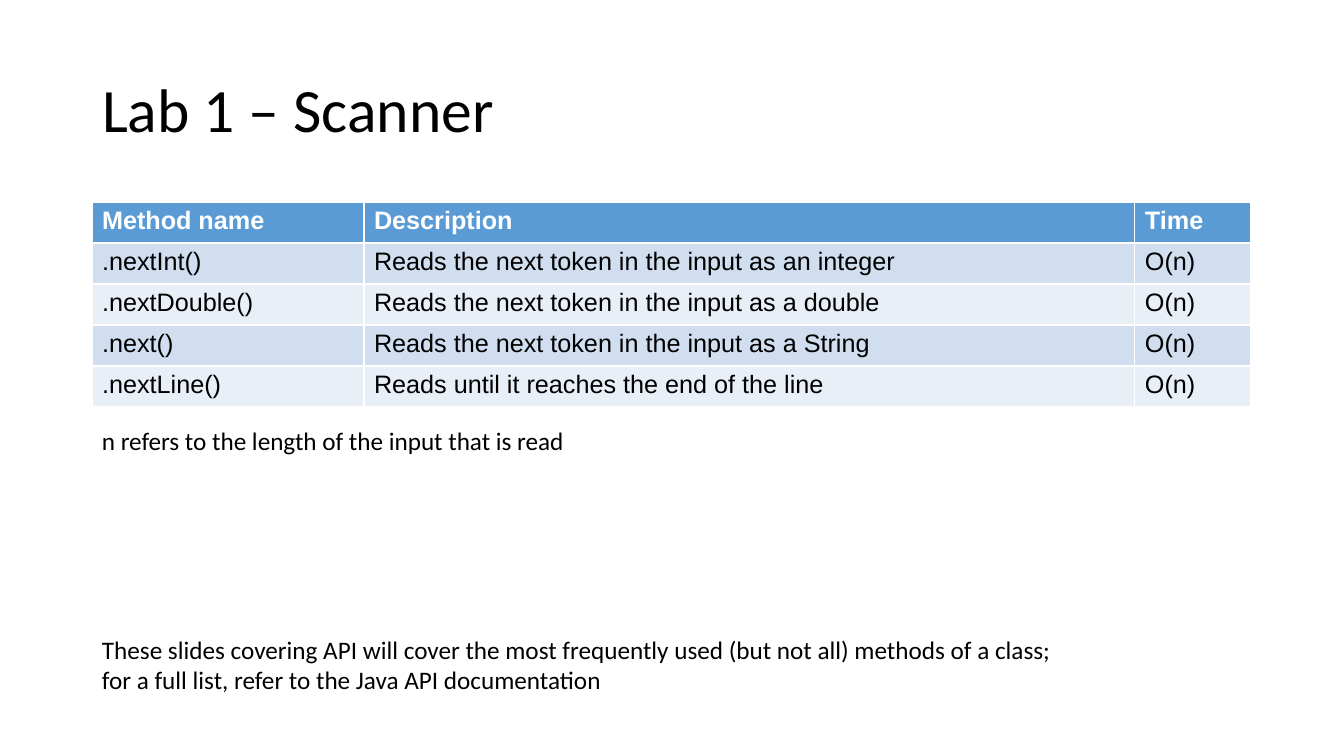
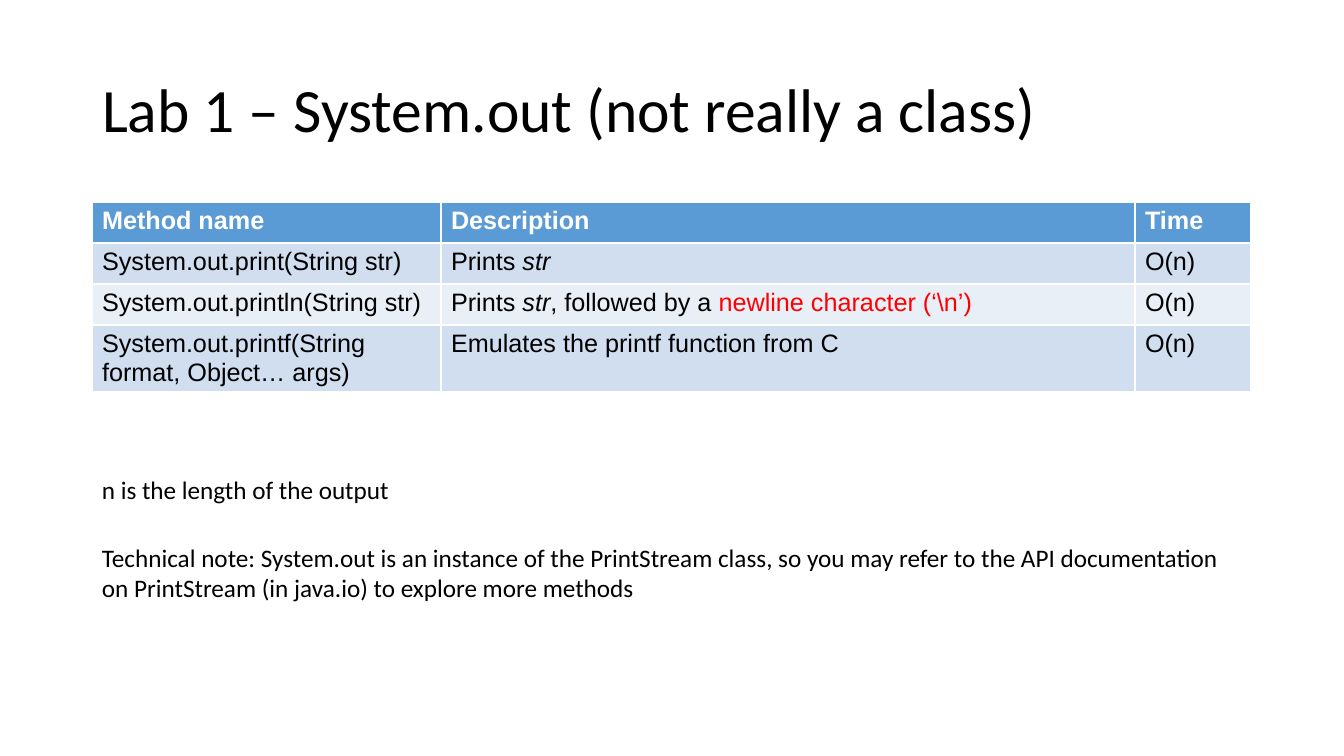
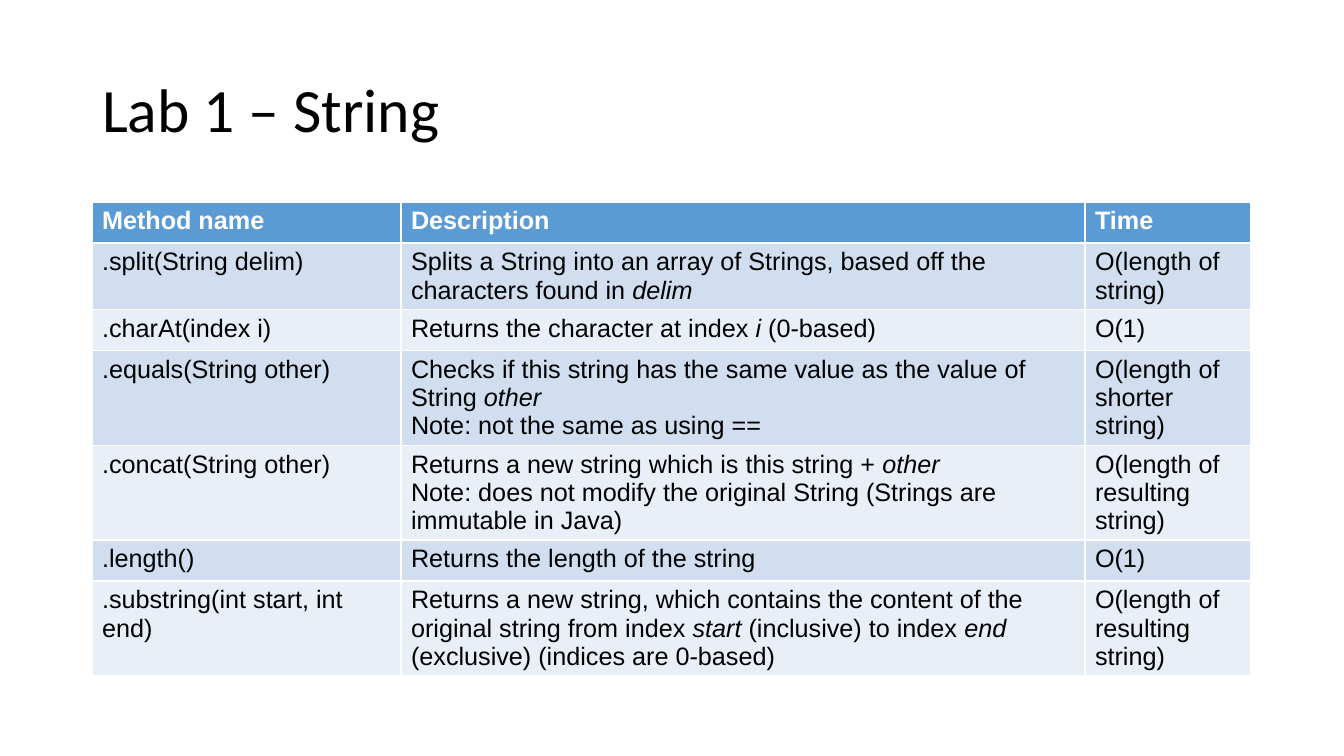
from dataclasses import dataclass

from pptx import Presentation
from pptx.dml.color import RGBColor
from pptx.enum.text import MSO_ANCHOR, MSO_AUTO_SIZE, PP_ALIGN
from pptx.util import Pt

HEADINGS = ("Method name", "Description", "Time")

# In table text, *asterisks* mark italics and ~tildes~ mark highlighted words.
LESSONS = [
    {
        "title": "Lab 1 – Scanner",
        "method_width": 272,
        "time_width": 116,
        "methods": [
            (".nextInt()", "Reads the next token in the input as an integer", "O(n)"),
            (".nextDouble()", "Reads the next token in the input as a double", "O(n)"),
            (".next()", "Reads the next token in the input as a String", "O(n)"),
            (".nextLine()", "Reads until it reaches the end of the line", "O(n)"),
        ],
        "notes": [
            ("n refers to the length of the input that is read", 420, 549, 40),
            ("These slides covering API will cover the most frequently used "
             "(but not all) methods of a class;\n"
             "for a full list, refer to the Java API documentation", 629, 1159, 71),
        ],
    },
    {
        "title": "Lab 1 – System.out (not really a class)",
        "method_width": 349,
        "time_width": 116,
        "methods": [
            ("System.out.print(String str)", "Prints *str*", "O(n)"),
            ("System.out.println(String str)",
             r"Prints *str*, followed by a ~newline character (‘\n’)~", "O(n)"),
            ("System.out.printf(String format, Object… args)",
             "Emulates the printf function from C", "O(n)"),
        ],
        "notes": [
            ("Technical note: System.out is an instance of the PrintStream class, "
             "so you may refer to the API documentation on PrintStream (in java.io) "
             "to explore more methods", 537, 1159, 71),
            ("n is the length of the output", 469, 1159, 40),
        ],
    },
    {
        "title": "Lab 1 – String",
        "method_width": 309,
        "time_width": 166,
        "methods": [
            (".split(String delim)",
             "Splits a String into an array of Strings, based off the characters "
             "found in *delim*", "O(length of string)"),
            (".charAt(index i)", "Returns the character at index *i* (0-based)", "O(1)"),
            (".equals(String other)",
             "Checks if this string has the same value as the value of String *other*\n"
             "Note: not the same as using ==", "O(length of shorter string)"),
            (".concat(String other)",
             "Returns a new string which is this string + *other*\n"
             "Note: does not modify the original String (Strings are immutable in Java)",
             "O(length of resulting string)"),
            (".length()", "Returns the length of the string", "O(1)"),
            (".substring(int start, int end)",
             "Returns a new string, which contains the content of the original string "
             "from index *start* (inclusive) to index *end* (exclusive) "
             "(indices are 0-based)", "O(length of resulting string)"),
        ],
        "notes": [],
    },
]


@dataclass(frozen=True)
class Theme:
    ink: RGBColor = RGBColor(0x00, 0x00, 0x00)
    heading_ink: RGBColor = RGBColor(0xFF, 0xFF, 0xFF)
    highlight: RGBColor = RGBColor(0xFF, 0x00, 0x00)
    heading_fill: RGBColor = RGBColor(0x5B, 0x9B, 0xD5)
    row_fills: tuple = (RGBColor(0xD0, 0xDE, 0xEF), RGBColor(0xE9, 0xEF, 0xF7))
    slide_font: str = "Calibri"
    table_font: str = "Arial"
    title_size: int = 44
    text_size: int = 18


THEME = Theme()
SLIDE_WIDTH, SLIDE_HEIGHT = 1344, 756
LEFT, CONTENT_WIDTH = 92, 1159
TITLE_TOP, TITLE_HEIGHT = 40, 146
TABLE_TOP, ROW_HEIGHT = 202, 41


def px(length):
    return round(length * 914400 / 100.8)


def box(*lengths):
    return [px(length) for length in lengths]


def style(run, font, size, color, bold=False, italic=False):
    run.font.name = font
    run.font.size = Pt(size)
    run.font.color.rgb = color
    run.font.bold = bold
    run.font.italic = italic


def add_title(slide, wording):
    title = slide.shapes.title
    title.left, title.top, title.width, title.height = box(
        LEFT, TITLE_TOP, CONTENT_WIDTH, TITLE_HEIGHT)
    frame = title.text_frame
    frame.text = wording
    frame.auto_size = MSO_AUTO_SIZE.NONE
    frame.vertical_anchor = MSO_ANCHOR.MIDDLE
    heading = frame.paragraphs[0]
    heading.alignment = PP_ALIGN.LEFT
    heading.line_spacing = 0.9
    style(heading.runs[0], THEME.slide_font, THEME.title_size, THEME.ink)


def write_cell(cell, wording, fill, color, bold):
    cell.fill.solid()
    cell.fill.fore_color.rgb = fill
    frame = cell.text_frame
    for index, line in enumerate(wording.split("\n")):
        paragraph = frame.add_paragraph() if index else frame.paragraphs[0]
        for i, phrase in enumerate(line.split("*")):
            for j, words in enumerate(phrase.split("~")):
                if words:
                    run = paragraph.add_run()
                    run.text = words
                    style(run, THEME.table_font, THEME.text_size,
                          THEME.highlight if j % 2 else color, bold, i % 2 == 1)


def add_method_table(slide, lesson):
    rows = [HEADINGS, *lesson["methods"]]
    table = slide.shapes.add_table(
        len(rows), len(HEADINGS),
        *box(LEFT, TABLE_TOP, CONTENT_WIDTH, ROW_HEIGHT * len(rows))).table
    method_width, time_width = lesson["method_width"], lesson["time_width"]
    widths = (method_width, CONTENT_WIDTH - method_width - time_width, time_width)
    for column, width in zip(table.columns, widths):
        column.width = px(width)
    for r, entries in enumerate(rows):
        table.rows[r].height = px(ROW_HEIGHT)
        is_heading = r == 0
        fill = THEME.heading_fill if is_heading else THEME.row_fills[(r - 1) % 2]
        color = THEME.heading_ink if is_heading else THEME.ink
        for c, wording in enumerate(entries):
            write_cell(table.cell(r, c), wording, fill, color, is_heading)


def add_note(slide, wording, top, width, height):
    frame = slide.shapes.add_textbox(*box(LEFT, top, width, height)).text_frame
    frame.word_wrap = True
    frame.auto_size = MSO_AUTO_SIZE.SHAPE_TO_FIT_TEXT
    frame.text = wording
    for paragraph in frame.paragraphs:
        style(paragraph.runs[0], THEME.slide_font, THEME.text_size, THEME.ink)


deck = Presentation()
deck.slide_width, deck.slide_height = box(SLIDE_WIDTH, SLIDE_HEIGHT)
title_only = deck.slide_layouts.get_by_name("Title Only")
for lesson in LESSONS:
    slide = deck.slides.add_slide(title_only)
    add_title(slide, lesson["title"])
    add_method_table(slide, lesson)
    for note in lesson["notes"]:
        add_note(slide, *note)
deck.save("out.pptx")
